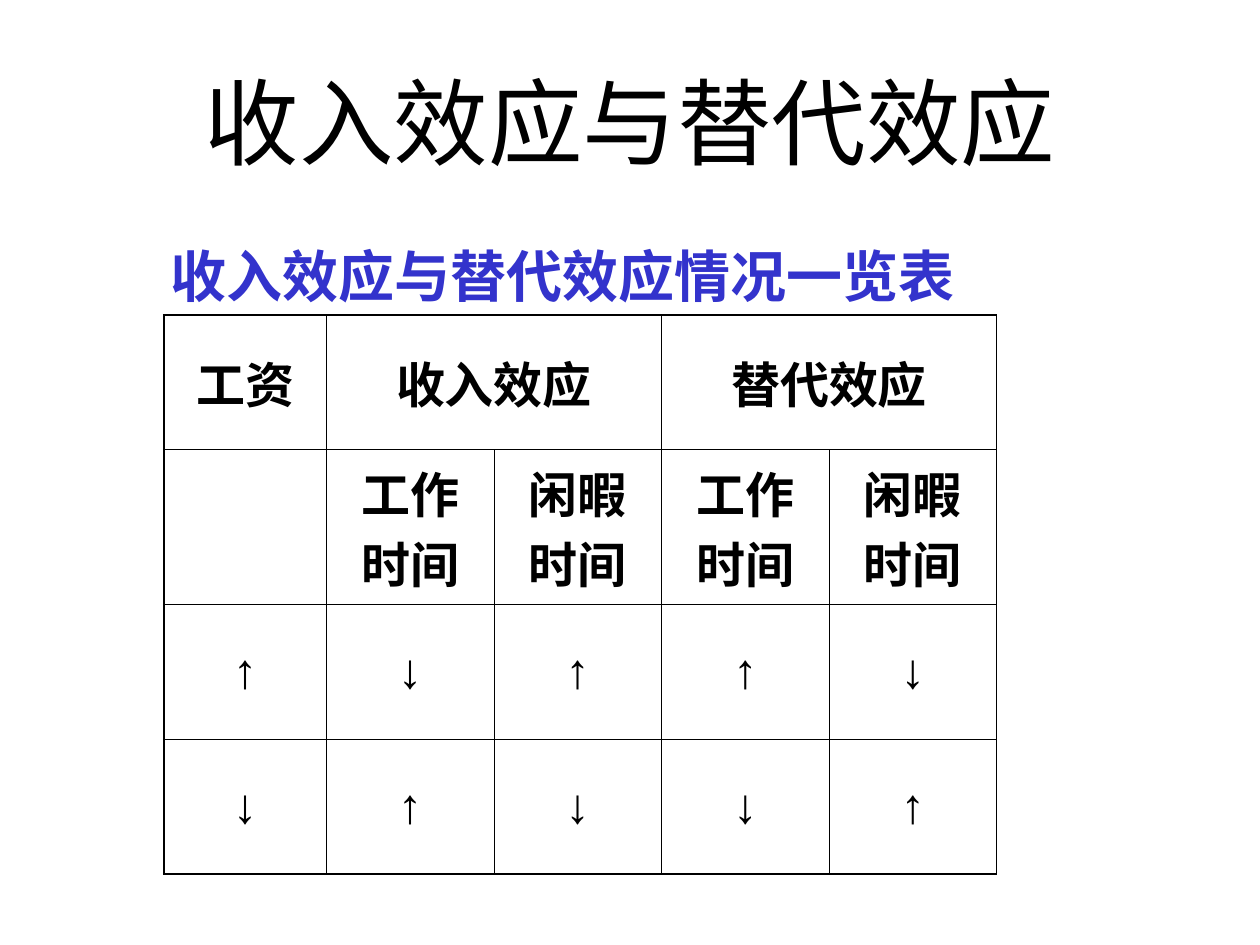
"""Build the slide on the income and substitution effects of a wage change."""
from dataclasses import dataclass
from typing import Any

from lxml.etree import SubElement
from pptx import Presentation
from pptx.dml.color import RGBColor
from pptx.enum.text import MSO_ANCHOR, PP_ALIGN
from pptx.oxml.ns import qn
from pptx.util import Inches, Pt


@dataclass(frozen=True)
class Theme:
    font: str = "Times New Roman"
    ink: str = "000000"
    accent: str = "3333CC"
    title_size: int = 54
    heading_size: int = 32
    cell_size: int = 28
    outer_rule: float = 1.08
    inner_rule: float = 0.45


@dataclass(frozen=True)
class Label:
    text: str
    left: float
    top: float
    width: float
    height: float
    size: int
    color: str
    bold: bool
    align: PP_ALIGN
    anchor: MSO_ANCHOR
    margin_left: float
    margin_top: float


THEME = Theme()
LABELS = (
    Label("收入效应与替代效应", 0.75, 0.42, 8.5, 1.08, THEME.title_size, THEME.ink,
          False, PP_ALIGN.CENTER, MSO_ANCHOR.MIDDLE, 0.1, 0.05),
    Label("收入效应与替代效应情况一览表", 0.75, 1.92, 8.5, 4.75, THEME.heading_size,
          THEME.accent, True, PP_ALIGN.LEFT, MSO_ANCHOR.TOP, 0.6, 0),
)
EFFECTS = (
    ("工资", "收入效应", "", "替代效应", ""),
    ("", "工作时间", "闲暇时间", "工作时间", "闲暇时间"),
    ("↑", "↓", "↑", "↑", "↓"),
    ("↓", "↑", "↓", "↓", "↑"),
)
HEADER_ROWS = 2
SPAN_STARTS = (1, 3)
COLUMN_WIDTHS = (1.29,) + (1.33,) * 4
ROW_HEIGHTS = (1.07, 1.23, 1.07, 1.07)


def write_run(paragraph: Any, text: str, size: int, color: str, bold: bool) -> None:
    run = paragraph.add_run()
    run.text = text
    run.font.name = THEME.font
    run.font.size = Pt(size)
    run.font.bold = bold
    run.font.color.rgb = RGBColor.from_string(color)


def draw_label(slide: Any, label: Label) -> None:
    frame = slide.shapes.add_textbox(
        Inches(label.left), Inches(label.top), Inches(label.width), Inches(label.height)
    ).text_frame
    frame.word_wrap = True
    frame.vertical_anchor = label.anchor
    frame.margin_left = Inches(label.margin_left)
    frame.margin_top = Inches(label.margin_top)
    paragraph = frame.paragraphs[0]
    paragraph.alignment = label.align
    write_run(paragraph, label.text, label.size, label.color, label.bold)


def rule_cell(cell: Any, row: int, column: int) -> None:
    outer_sides = {
        "a:lnL": column == 0,
        "a:lnR": column == len(COLUMN_WIDTHS) - 1,
        "a:lnT": row == 0,
        "a:lnB": row == len(ROW_HEIGHTS) - 1,
    }
    properties = cell._tc.get_or_add_tcPr()
    for position, (side, is_outer) in enumerate(outer_sides.items()):
        width = THEME.outer_rule if is_outer else THEME.inner_rule
        rule = SubElement(properties, qn(side), w=str(int(Pt(width))))
        SubElement(SubElement(rule, qn("a:solidFill")), qn("a:srgbClr"), val=THEME.ink)
        properties.insert(position, rule)


def draw_effects_table(slide: Any, left: float, top: float) -> None:
    table = slide.shapes.add_table(
        len(ROW_HEIGHTS), len(COLUMN_WIDTHS), Inches(left), Inches(top),
        Inches(sum(COLUMN_WIDTHS)), Inches(sum(ROW_HEIGHTS))
    ).table
    table.first_row = False
    table.horz_banding = False
    for column, width in zip(table.columns, COLUMN_WIDTHS):
        column.width = Inches(width)
    for row, height in zip(table.rows, ROW_HEIGHTS):
        row.height = Inches(height)
    for start in SPAN_STARTS:
        table.cell(0, start).merge(table.cell(0, start + 1))
    for row_index, entries in enumerate(EFFECTS):
        for column_index, entry in enumerate(entries):
            cell = table.cell(row_index, column_index)
            cell.fill.background()
            rule_cell(cell, row_index, column_index)
            cell.vertical_anchor = MSO_ANCHOR.MIDDLE
            if entry:
                paragraph = cell.text_frame.paragraphs[0]
                paragraph.alignment = PP_ALIGN.CENTER
                write_run(paragraph, entry, THEME.cell_size, THEME.ink,
                          row_index < HEADER_ROWS)


def main() -> None:
    presentation = Presentation()
    presentation.slide_width = Inches(10)
    presentation.slide_height = Inches(7.5)
    slide = presentation.slides.add_slide(presentation.slide_layouts[6])
    for label in LABELS:
        draw_label(slide, label)
    draw_effects_table(slide, 1.3, 2.5)
    presentation.save("out.pptx")


if __name__ == "__main__":
    main()
